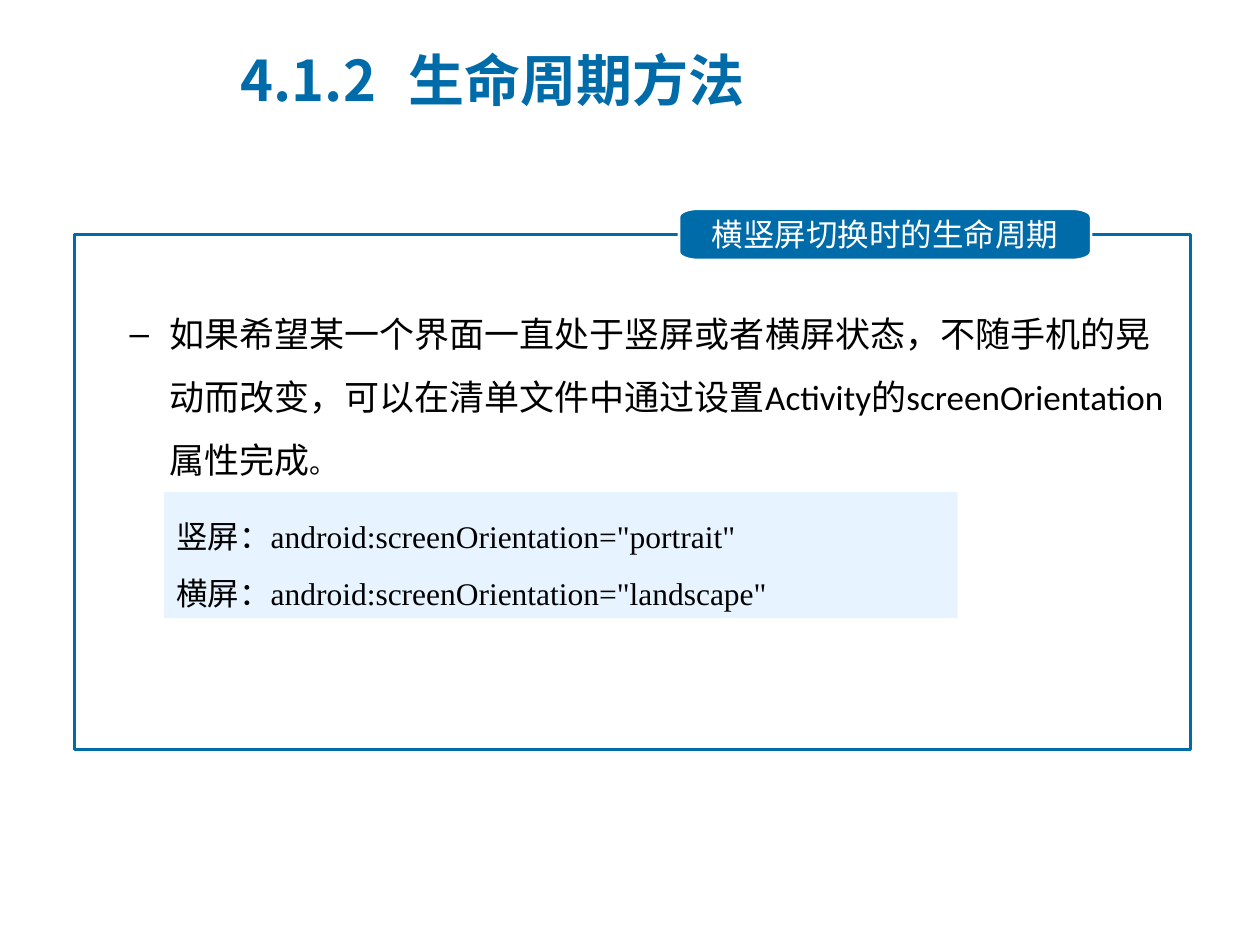
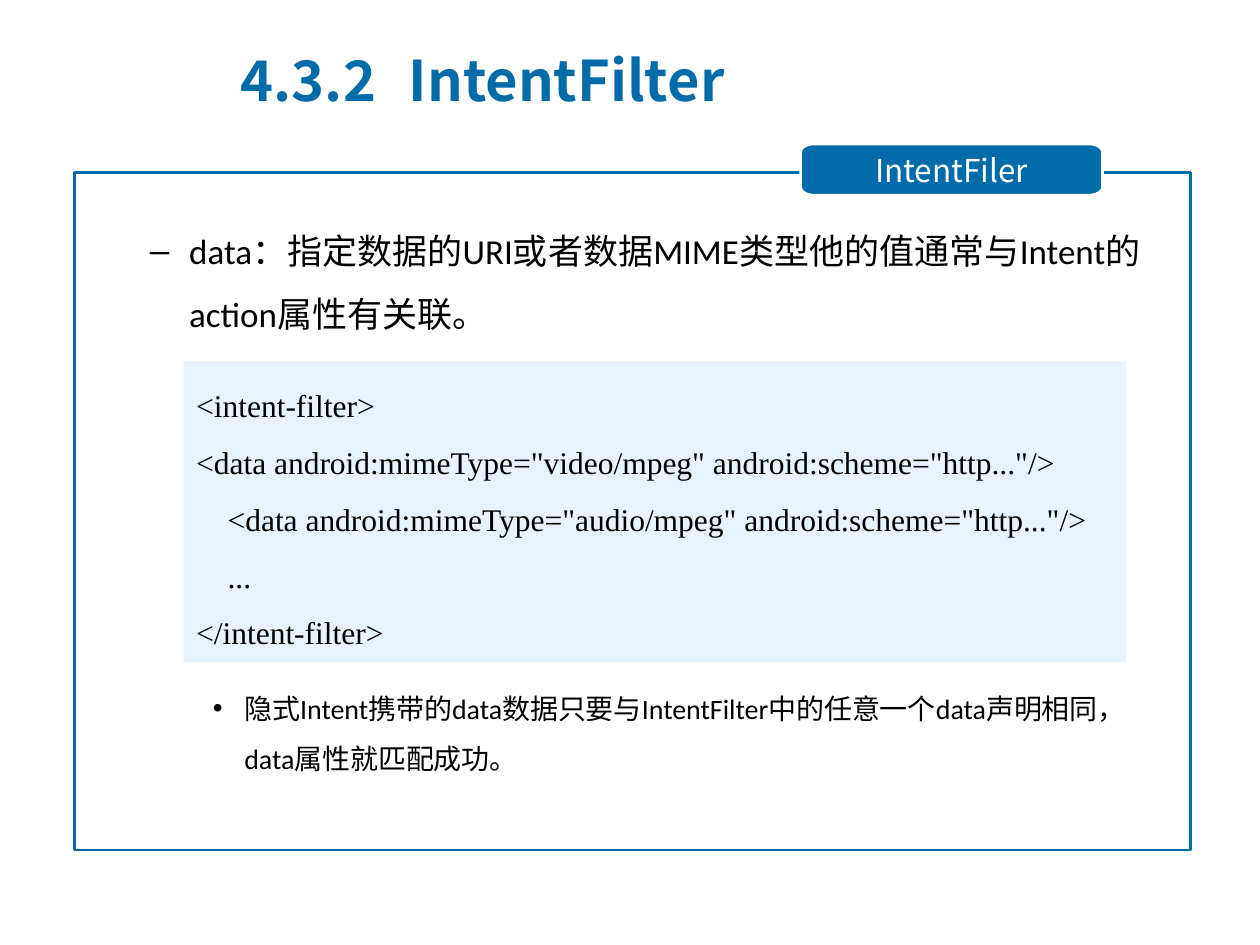
from dataclasses import dataclass
from math import cos, radians, sin

from lxml.etree import SubElement
from pptx import Presentation
from pptx.dml.color import RGBColor
from pptx.enum.shapes import MSO_SHAPE
from pptx.enum.text import MSO_ANCHOR, MSO_AUTO_SIZE, PP_ALIGN
from pptx.oxml.ns import qn
from pptx.util import Pt


@dataclass(frozen=True)
class Theme:
    blue: RGBColor = RGBColor(0x00, 0x6B, 0xA9)
    pale: RGBColor = RGBColor(0xE7, 0xF4, 0xFF)
    white: RGBColor = RGBColor(0xFF, 0xFF, 0xFF)
    black: RGBColor = RGBColor(0x00, 0x00, 0x00)
    heading_font: str = "Noto Sans CJK SC"
    body_font: str = "Calibri"
    code_font: str = "Times New Roman"
    title_size: int = 32
    body_size: int = 20
    code_size: int = 18
    label_size: int = 18
    detail_size: int = 16
    line_width: float = 1.5
    line_spacing: float = 1.5


# level: (bullet, left margin, hanging indent)
BULLETS = {1: ("–", 58.5, 22.5), 2: ("•", 90, 18)}
FRAME_LEFT, FRAME_WIDTH = 42.5, 638


class LessonPages:
    def __init__(self, deck, theme):
        self.deck = deck
        self.theme = theme
        self.page = None

    def add_page(self, number, name):
        self.page = self.deck.slides.add_slide(self.deck.slide_layouts[5])
        title = self.page.shapes.title
        title.left, title.top, title.width, title.height = Pt(130.3), Pt(15), Pt(405), Pt(60.5)
        frame = title.text_frame
        frame.auto_size = MSO_AUTO_SIZE.NONE
        frame.vertical_anchor = MSO_ANCHOR.MIDDLE
        para = frame.paragraphs[0]
        para.alignment = PP_ALIGN.LEFT
        stops = SubElement(para._p.get_or_add_pPr(), qn("a:tabLst"))
        SubElement(stops, qn("a:tab"), pos=str(Pt(96)), algn="l")
        self.add_span(para, f"{number}\t{name}", self.theme.heading_font,
                      self.theme.title_size, self.theme.blue, bold=True)

    def add_span(self, para, text, font, size, color, bold=False):
        span = para.add_run()
        span.text = text
        span.font.name = font
        span.font.size = Pt(size)
        span.font.bold = bold
        span.font.color.rgb = color
        SubElement(span._r.get_or_add_rPr(), qn("a:ea"), typeface=self.theme.heading_font)

    def add_rectangle(self, left, top, width, height):
        box = self.page.shapes.add_shape(
            MSO_SHAPE.RECTANGLE, Pt(left), Pt(top), Pt(width), Pt(height))
        box.shadow.inherit = False
        return box

    def add_frame(self, top, height):
        box = self.add_rectangle(FRAME_LEFT, top, FRAME_WIDTH, height)
        box.fill.background()
        box.line.color.rgb = self.theme.blue
        box.line.width = Pt(self.theme.line_width)

    def add_label(self, text, left, top, width, height=29.3):
        """Add a tab whose elliptical corners scale with its size."""
        radius_x, radius_y = width * 0.046, height * 0.16
        right, bottom = left + width - radius_x, top + height - radius_y
        centers = [(right, bottom), (left + radius_x, bottom),
                   (left + radius_x, top + radius_y), (right, top + radius_y)]
        points = [
            (Pt(x + radius_x * cos(radians(angle))), Pt(y + radius_y * sin(radians(angle))))
            for quarter, (x, y) in enumerate(centers)
            for angle in range(quarter * 90, quarter * 90 + 91, 15)
        ]
        builder = self.page.shapes.build_freeform(*points[0])
        builder.add_line_segments(points[1:], close=True)
        label = builder.convert_to_shape()
        label.shadow.inherit = False
        label.fill.solid()
        label.fill.fore_color.rgb = self.theme.blue
        label.line.color.rgb = self.theme.white
        label.line.width = Pt(self.theme.line_width)
        frame = label.text_frame
        frame.word_wrap = True
        frame.vertical_anchor = MSO_ANCHOR.MIDDLE
        frame.margin_left = frame.margin_right = Pt(17)
        frame.margin_top = frame.margin_bottom = Pt(4.3)
        para = frame.paragraphs[0]
        para.alignment = PP_ALIGN.CENTER
        self.add_span(para, text, self.theme.heading_font,
                      self.theme.label_size, self.theme.white)

    def add_bullet(self, spans, level, left, top, width, height):
        """Add one bulleted paragraph; spans are (text, size) pairs."""
        box = self.page.shapes.add_textbox(Pt(left), Pt(top), Pt(width), Pt(height))
        box.text_frame.word_wrap = True
        para = box.text_frame.paragraphs[0]
        mark, margin, hanging = BULLETS[level]
        properties = para._p.get_or_add_pPr()
        properties.set("marL", str(Pt(margin)))
        properties.set("indent", str(-Pt(hanging)))
        SubElement(properties, qn("a:buFont"), typeface="Arial")
        SubElement(properties, qn("a:buChar"), char=mark)
        para.level = level
        para.line_spacing = self.theme.line_spacing
        for text, size in spans:
            self.add_span(para, text, self.theme.body_font, size, self.theme.black)

    def add_code(self, lines, left, top, width, height):
        box = self.add_rectangle(left, top, width, height)
        box.fill.solid()
        box.fill.fore_color.rgb = self.theme.pale
        box.line.fill.background()
        frame = box.text_frame
        frame.word_wrap = True
        frame.vertical_anchor = MSO_ANCHOR.TOP
        for index, line in enumerate(lines):
            para = frame.add_paragraph() if index else frame.paragraphs[0]
            para.alignment = PP_ALIGN.LEFT
            para.line_spacing = self.theme.line_spacing
            self.add_span(para, line, self.theme.code_font,
                          self.theme.code_size, self.theme.black)


def add_orientation_page(pages):
    theme = pages.theme
    pages.add_page("4.1.2", "生命周期方法")
    pages.add_frame(134, 294.5)
    pages.add_bullet(
        [("如果希望某一个界面一直处于竖屏或者横屏状态，不随手机的晃动而改变，"
          "可以在清单文件中通过设置Activity的screenOrientation属性完成", theme.body_size),
         ("。", theme.detail_size)],
        1, 31, 163, 649.5, 118)
    pages.add_label("横竖屏切换时的生命周期", 388, 119.3, 235.5)
    pages.add_code(
        ['竖屏：android:screenOrientation="portrait"',
         '横屏：android:screenOrientation="landscape"'],
        93.6, 281.3, 453.6, 72)


def add_filter_page(pages):
    theme = pages.theme
    pages.add_page("4.3.2", "IntentFilter")
    pages.add_frame(98.5, 387.3)
    pages.add_bullet(
        [("data：指定数据的URI或者数据MIME类型他的值通常与Intent的action属性有关联。",
          theme.body_size)],
        1, FRAME_LEFT, 115.6, 634.3, 82)
    pages.add_label("IntentFiler", 457.5, 82.3, 172.5)
    pages.add_code(
        ["<intent-filter>",
         '<data android:mimeType="video/mpeg" android:scheme="http..."/>',
         '    <data android:mimeType="audio/mpeg" android:scheme="http..."/>',
         "    ...",
         "</intent-filter>"],
        105, 206.5, 538.5, 172)
    pages.add_bullet(
        [("隐式Intent携带的data数据只要与IntentFilter中的任意一个data声明相同，"
          "data属性就匹配成功。", theme.detail_size)],
        2, FRAME_LEFT, 382, 634.3, 66)


def main():
    deck = Presentation()
    deck.slide_width, deck.slide_height = Pt(720), Pt(540)
    pages = LessonPages(deck, Theme())
    add_orientation_page(pages)
    add_filter_page(pages)
    deck.save("out.pptx")


if __name__ == "__main__":
    main()
